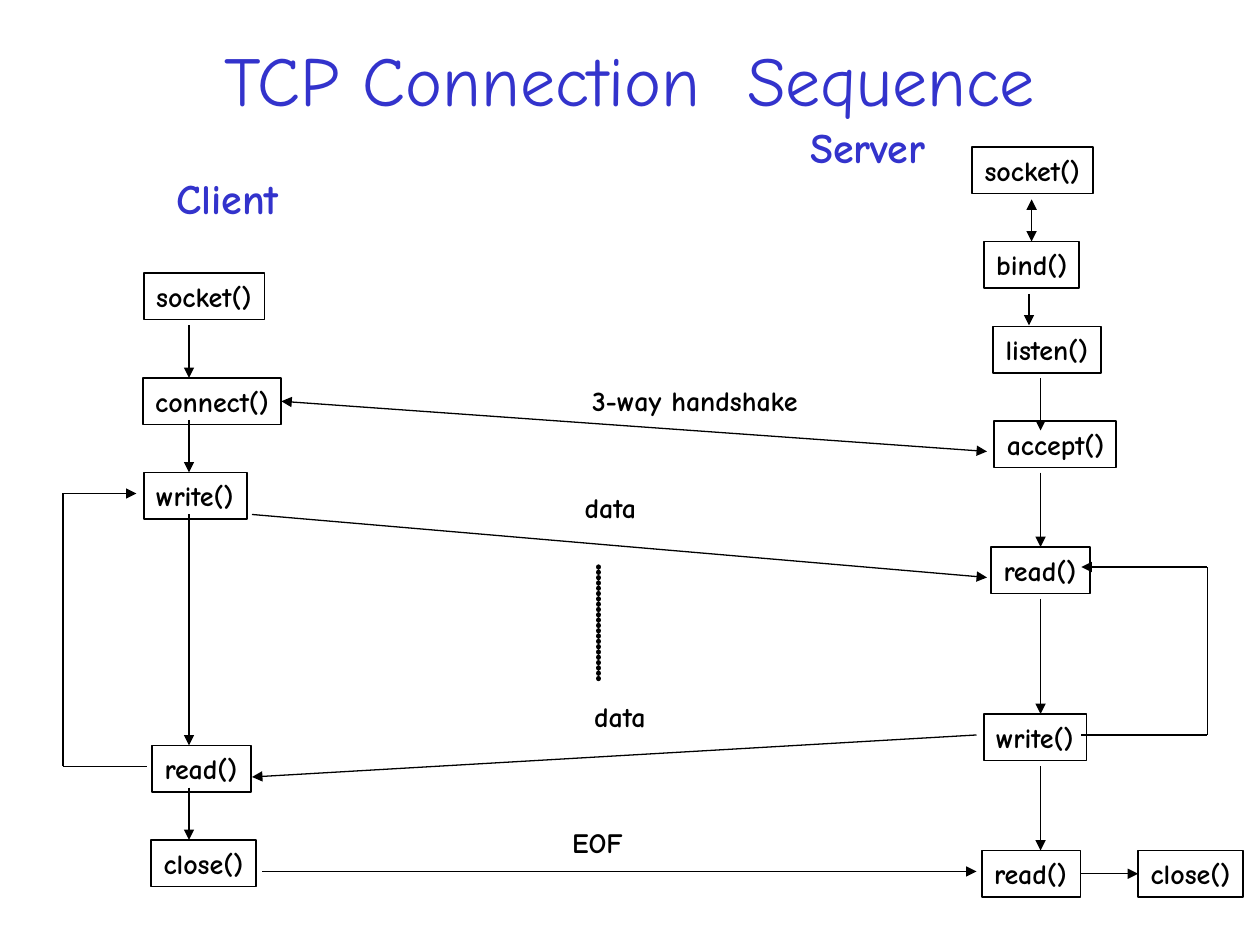
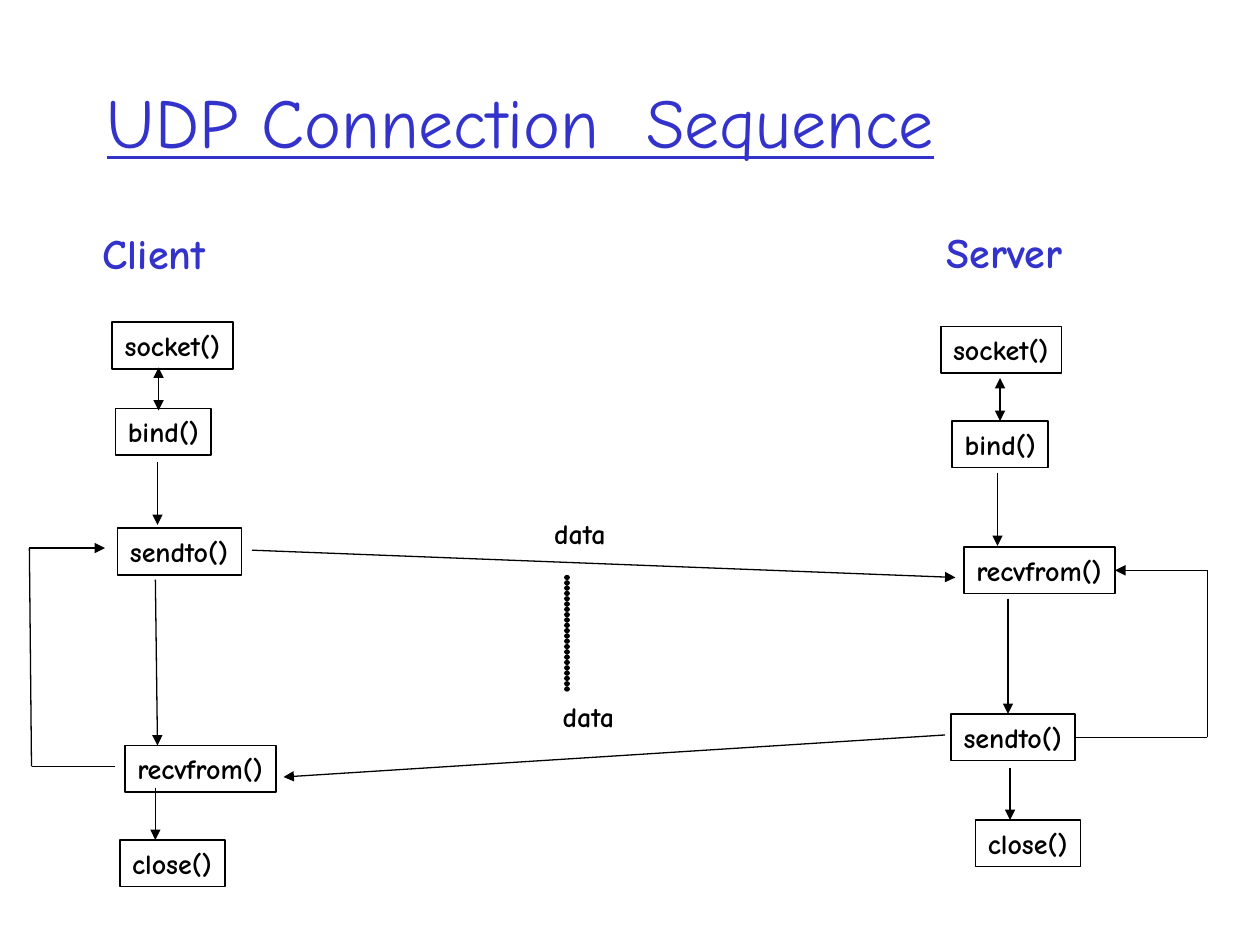
from dataclasses import dataclass
from itertools import pairwise
from math import dist

from pptx import Presentation
from pptx.dml.color import RGBColor
from pptx.enum.shapes import MSO_CONNECTOR, MSO_SHAPE
from pptx.enum.text import MSO_ANCHOR, MSO_AUTO_SIZE, PP_ALIGN
from pptx.oxml.ns import qn
from pptx.util import Inches, Pt

CELL = Inches(1) / 12  # the slide is a grid of 120 columns and 90 rows
COLS, ROWS = 120, 90
CLIENT_COL, MESSAGE_COL, SERVER_COL = 0, 24, 72
CALL_ROWS, HEADING_ROWS = 4.44, 6
JOIN_REACH = 0.3  # cells within which a line end snaps to the middle of a side

CALL_COLS = {
    "socket()": 11.5, "connect()": 13.2, "bind()": 9.1, "listen()": 10.3,
    "accept()": 11.6, "write()": 9.8, "read()": 9.4, "close()": 10,
    "sendto()": 11.8, "recvfrom()": 14.4,
}
LABEL_COLS = {"data": 7.3, "EOF": 7.2, "3-way handshake": 22}
HEADING_COLS = {"Client": 12.4, "Server": 13.6}


@dataclass(frozen=True)
class Theme:
    font: str = "Comic Neue"
    accent: RGBColor = RGBColor(0x33, 0x33, 0xCC)
    ink: RGBColor = RGBColor(0, 0, 0)
    paper: RGBColor = RGBColor(255, 255, 255)
    title: Pt = Pt(40)
    heading: Pt = Pt(24)
    body: Pt = Pt(16)
    box_line: Pt = Pt(1)
    arrow_line: Pt = Pt(0.75)
    dots_line: Pt = Pt(3)


THEME = Theme()


def cells(*values):
    return [round(v * CELL) for v in values]


def add_child(parent, tag, **attributes):
    child = parent.makeelement(qn(tag), attributes)
    parent.append(child)
    return child


class Region:
    """Part of a slide whose contents are placed in cells from its left edge."""

    def __init__(self, slide, left, top=0):
        self.slide, self.left, self.top = slide, left, top

    def place(self, x, y):
        return cells(self.left + x, self.top + y)

    def text(self, text, x, y, width, height, size, color, bold=True):
        tb = self.slide.shapes.add_textbox(*self.place(x, y), *cells(width, height))
        write(tb, text, size, color, bold)
        tb.text_frame.auto_size = MSO_AUTO_SIZE.SHAPE_TO_FIT_TEXT
        return tb

    def call(self, name, x, y):
        s = self.slide.shapes.add_shape(
            MSO_SHAPE.RECTANGLE, *self.place(x, y), *cells(CALL_COLS[name], CALL_ROWS))
        s.shadow.inherit = False
        s.fill.background()
        s.line.color.rgb = THEME.ink
        s.line.width = THEME.box_line
        write(s, name, THEME.body, THEME.ink)
        s.text_frame.vertical_anchor = MSO_ANCHOR.TOP

    def line(self, start, end, head=False, tail=False, width=THEME.arrow_line):
        c = self.slide.shapes.add_connector(
            MSO_CONNECTOR.STRAIGHT, *self.place(*start), *self.place(*end))
        c.line.color.rgb = THEME.ink
        c.line.width = width
        ln = c.line._get_or_add_ln()
        for tag, wanted in (("a:headEnd", head), ("a:tailEnd", tail)):
            if wanted:
                add_child(ln, tag, type="triangle")
        add_child(c._element.spPr, "a:effectLst")
        for point, connect in ((start, c.begin_connect), (end, c.end_connect)):
            side = self.side_near(point)
            if side:
                connect(*side)
        return c

    def side_near(self, point):
        """Return the call box and side whose middle lies at the point, if any."""
        target = self.place(*point)
        for s in self.slide.shapes:
            if s.has_text_frame and s.text_frame.text in CALL_COLS:
                mid_x, mid_y = s.left + s.width / 2, s.top + s.height / 2
                sides = ((mid_x, s.top), (s.left, mid_y),
                         (mid_x, s.top + s.height), (s.left + s.width, mid_y))
                for i, side in enumerate(sides):
                    if dist(side, target) < JOIN_REACH * CELL:
                        return s, i
        return None


def write(shape, text, size, color, bold=True):
    tf = shape.text_frame
    tf.word_wrap = False
    tf.text = text
    p = tf.paragraphs[0]
    p.alignment = PP_ALIGN.LEFT
    font = p.runs[0].font
    font.name, font.size, font.bold = THEME.font, size, bold
    font.color.rgb = color


def add_title(slide, text, top, height, centred=False, underlined=False):
    tb = Region(slide, 9).text(text, 0, top, COLS - 18, height,
                               THEME.title, THEME.accent, bold=False)
    tf = tb.text_frame
    tf.word_wrap = True
    tf.auto_size = MSO_AUTO_SIZE.NONE
    tf.vertical_anchor = MSO_ANCHOR.MIDDLE
    p = tf.paragraphs[0]
    p.alignment = PP_ALIGN.CENTER if centred else PP_ALIGN.LEFT
    p.runs[0].font.underline = underlined or None


def add_lane(slide, left, heading, calls, steps, loop):
    """One side of the exchange: heading, calls, arrows between them and the loop back."""
    region = Region(slide, left)
    name, x, y = heading
    region.text(name, x, y, HEADING_COLS[name], HEADING_ROWS, THEME.heading, THEME.accent)
    for call in calls:
        region.call(*call)
    for start, end, *both in steps:
        region.line(start, end, head=bool(both), tail=True)
    for start, end in pairwise(loop):
        region.line(start, end, tail=end == loop[-1])


def add_messages(slide, left, arrows, labels, dots):
    region = Region(slide, left)
    for start, end, *both in arrows:
        region.line(start, end, head=bool(both), tail=True)
    for text, x, y in labels:
        region.text(text, x, y, LABEL_COLS[text], CALL_ROWS, THEME.body, THEME.ink)
    x, top, bottom = dots
    ln = region.line((x, top), (x, bottom), width=THEME.dots_line).line._get_or_add_ln()
    ln.set("cap", "rnd")
    add_child(add_child(ln, "a:custDash"), "a:ds", d="100000", sp="1000")


def down(x, *spans):
    return [((x, top), (x, bottom)) for top, bottom in spans]


def new_slide(prs):
    slide = prs.slides.add_slide(prs.slide_layouts[6])
    slide.background.fill.solid()
    slide.background.fill.fore_color.rgb = THEME.paper
    return slide


def tcp_slide(prs):
    slide = new_slide(prs)
    add_title(slide, "TCP Connection  Sequence", -2, 19, centred=True)
    add_lane(
        slide, CLIENT_COL, ("Client", 15.6, 15.8),
        calls=[("socket()", 13.7, 26), ("connect()", 13.6, 36), ("write()", 13.7, 45),
               ("read()", 14.5, 71), ("close()", 14.4, 80)],
        steps=down(18, (31, 36), (40, 45), (49, 71), (75, 80)),
        loop=[(14, 73), (6, 73), (6, 47), (13, 47)])
    add_lane(
        slide, SERVER_COL, ("Server", 4, 11),
        calls=[("socket()", 20.6, 14), ("bind()", 21.7, 23), ("listen()", 22.6, 31.1),
               ("accept()", 22.7, 40.1), ("read()", 22.4, 52.1), ("write()", 21.7, 68),
               ("read()", 21.5, 81), ("close()", 36.4, 81)],
        steps=[((26.25, 19), (26.25, 23), "both"), *down(26, (28, 31)),
               *down(27.1, (36, 41), (45, 52.1), (57, 68), (73, 81)),
               ((30.9, 83.22), (36.4, 83.22))],
        loop=[(31, 70), (43, 70), (43, 54), (31, 54)])
    add_messages(
        slide, MESSAGE_COL,
        arrows=[((3, 38), (70, 43), "both"), ((0, 49), (70, 55)),
                ((69, 70), (0, 74)), ((1, 83), (69, 83))],
        labels=[("3-way handshake", 31.2, 35.9), ("data", 30.5, 46.1),
                ("data", 31.4, 66), ("EOF", 29.3, 78)],
        dots=(33, 54, 65))


def udp_slide(prs):
    slide = new_slide(prs)
    add_title(slide, "UDP Connection  Sequence", 4, 15, underlined=True)
    add_lane(
        slide, CLIENT_COL, ("Client", 8.6, 21.1),
        calls=[("socket()", 10.7, 30.7), ("bind()", 11, 38.9), ("sendto()", 11.2, 50.3),
               ("recvfrom()", 11.9, 71), ("close()", 11.4, 80)],
        steps=[((15.1, 35), (15.1, 39.1), "both"), *down(15, (44, 50)),
               ((14.8, 55.2), (15, 71)), *down(14.8, (75, 80))],
        loop=[(11, 73), (3, 73), (2.8, 52.2), (10, 52.2)])
    add_lane(
        slide, SERVER_COL, ("Server", 17, 21),
        calls=[("socket()", 17.6, 31.1), ("bind()", 18.7, 40.1), ("recvfrom()", 19.8, 52.1),
               ("sendto()", 18.6, 68), ("close()", 20.9, 78.1)],
        steps=[((23.25, 36), (23.25, 40.1), "both"), *down(23, (45, 52)),
               *down(24, (57, 68)), *down(24.2, (73.1, 78.1))],
        loop=[(30.4, 70.22), (43, 70.22), (43, 54.32), (34.2, 54.32)])
    add_messages(
        slide, MESSAGE_COL,
        arrows=[((0, 52.4), (67, 55)), ((66, 70), (3, 74))],
        labels=[("data", 27.6, 48.6), ("data", 28.4, 66)],
        dots=(30, 55, 66))


def main():
    prs = Presentation()
    prs.slide_width, prs.slide_height = cells(COLS, ROWS)
    tcp_slide(prs)
    udp_slide(prs)
    prs.save("out.pptx")


if __name__ == "__main__":
    main()
